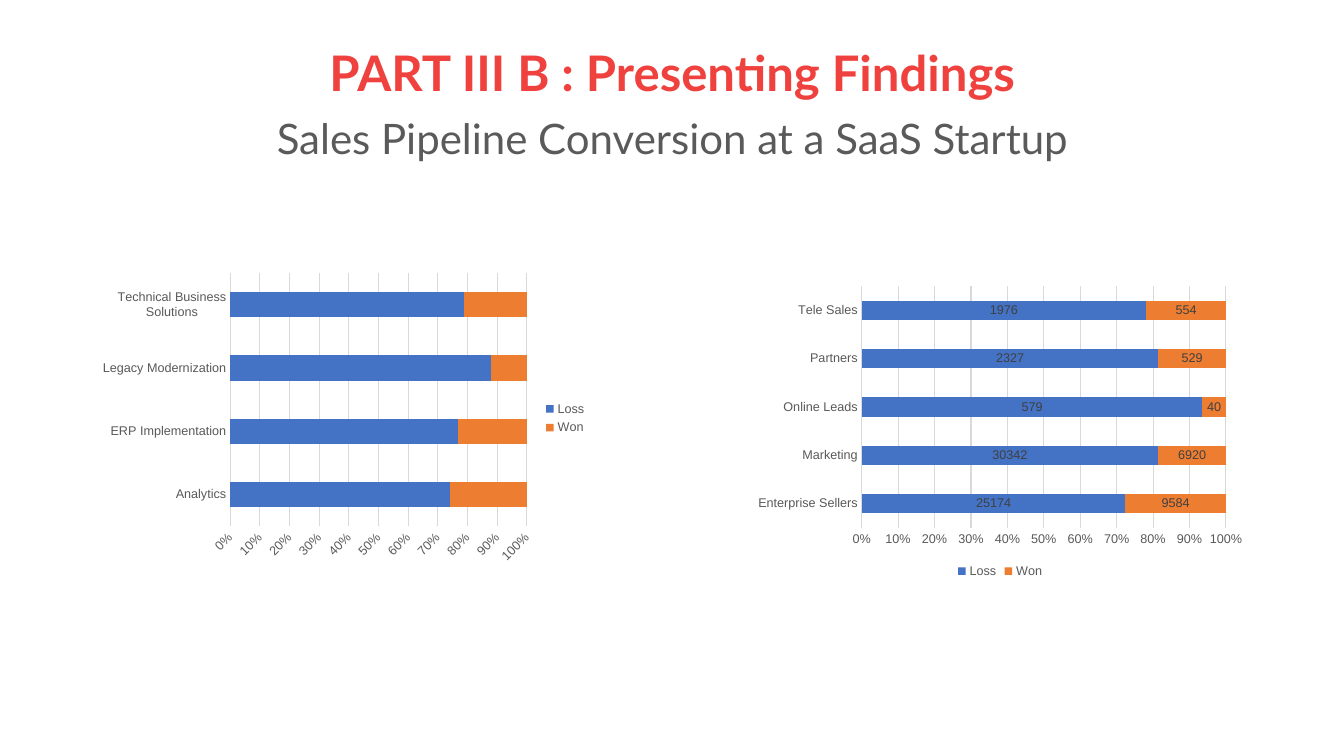
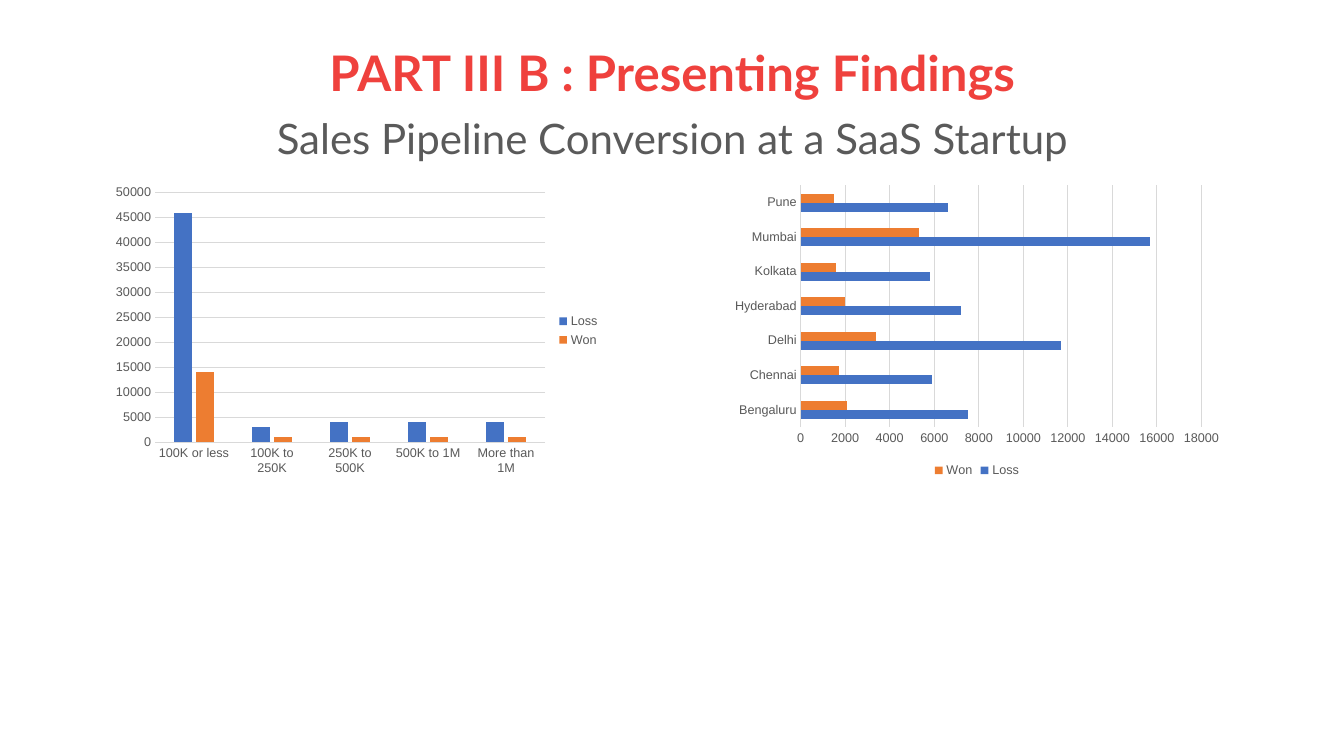
import dataclasses

import pptx
import pptx.chart.data
import pptx.dml.color
import pptx.enum.chart
import pptx.enum.text
import pptx.oxml.ns
import pptx.util

Inches = pptx.util.Inches
Pt = pptx.util.Pt
RGBColor = pptx.dml.color.RGBColor
Kind = pptx.enum.chart.XL_CHART_TYPE
Side = pptx.enum.chart.XL_LEGEND_POSITION
Tick = pptx.enum.chart.XL_TICK_MARK

RED = RGBColor(0xEF, 0x41, 0x3D)
GREY = RGBColor(0x5A, 0x5A, 0x5A)
LABEL = RGBColor(0x59, 0x59, 0x59)
DARK = RGBColor(0x40, 0x40, 0x40)
BLACK = RGBColor(0, 0, 0)
GRID = RGBColor(0xD9, 0xD9, 0xD9)
BLUE = RGBColor(0x44, 0x72, 0xC4)
ORANGE = RGBColor(0xED, 0x7D, 0x31)


@dataclasses.dataclass(frozen=True)
class Plot:
    left: float
    top: float
    kind: Kind
    side: Side
    cats: tuple[str, ...]
    loss: tuple[int, ...]
    won: tuple[int, ...]
    gap: int
    over: int = 0
    form: str = "General"
    tags: bool = False


DECK = (
    (
        Plot(0.92, 2.65, Kind.BAR_STACKED_100, Side.RIGHT,
             ("Analytics", "ERP Implementation", "Legacy Modernization",
              "Technical Business Solutions"),
             (74, 77, 88, 79), (26, 23, 12, 21), 150, 100, "0%"),
        Plot(7.42, 2.78, Kind.BAR_STACKED_100, Side.BOTTOM,
             ("Enterprise Sellers", "Marketing", "Online Leads", "Partners",
              "Tele Sales"),
             (25174, 30342, 579, 2327, 1976), (9584, 6920, 40, 529, 554),
             150, 100, "0%", True),
    ),
    (
        Plot(7.19, 1.78, Kind.BAR_CLUSTERED, Side.BOTTOM,
             ("Bengaluru", "Chennai", "Delhi", "Hyderabad", "Kolkata",
              "Mumbai", "Pune"),
             (7500, 5900, 11700, 7200, 5800, 15700, 6600),
             (2100, 1700, 3400, 2000, 1600, 5300, 1500), 182),
        Plot(1.05, 1.78, Kind.COLUMN_CLUSTERED, Side.RIGHT,
             ("100K or less", "100K to 250K", "250K to 500K", "500K to 1M",
              "More than 1M"),
             (46000, 3000, 4000, 4000, 4000),
             (14000, 1000, 1000, 1000, 1000), 219, -27),
    ),
)


def style(font, size: float = 9, color: RGBColor = LABEL,
          face: str = "Arial", bold: bool = False) -> None:
    font.size = Pt(size)
    font.name = face
    font.bold = bold
    font.color.rgb = color


def write(para, text: str, *, size: float, color: RGBColor,
          bold: bool = False, before: float | None = None) -> None:
    para.alignment = pptx.enum.text.PP_ALIGN.CENTER
    para.line_spacing = 0.9
    if before is not None:
        para.space_before = Pt(before)
    run = para.add_run()
    run.text = text
    style(run.font, size, color, "Lato", bold)


def add_title(slide) -> None:
    box = slide.shapes.add_textbox(
        Inches(0.92), Inches(0.33), Inches(11.5), Inches(1.45))
    frame = box.text_frame
    frame.word_wrap = True
    frame.vertical_anchor = pptx.enum.text.MSO_ANCHOR.MIDDLE
    write(frame.paragraphs[0], "PART III B : Presenting Findings",
          size=35, color=RED, bold=True)
    write(frame.add_paragraph(), "Sales Pipeline Conversion at a SaaS Startup",
          size=30, color=GREY, before=11)


def draw_line(line) -> None:
    line.color.rgb = GRID
    line.width = Pt(0.75)


def style_axis(axis) -> None:
    axis.major_tick_mark = Tick.NONE
    axis.minor_tick_mark = Tick.NONE
    style(axis.tick_labels.font)
    for body in axis._element.iter(pptx.oxml.ns.qn("a:bodyPr")):
        body.set("rot", "-60000000")


def add_plot(slide, plot: Plot) -> None:
    data = pptx.chart.data.CategoryChartData()
    data.categories = plot.cats
    data.add_series("Loss", plot.loss)
    data.add_series("Won", plot.won)
    chart = slide.shapes.add_chart(
        plot.kind, Inches(plot.left), Inches(plot.top),
        Inches(5), Inches(3), data).chart
    style(chart.font, 10, BLACK)
    chart.has_title = False
    chart.has_legend = True
    chart.legend.position = plot.side
    chart.legend.include_in_layout = False
    style(chart.legend.font)

    style_axis(chart.category_axis)
    draw_line(chart.category_axis.format.line)
    scale = chart.value_axis
    style_axis(scale)
    scale.format.line.fill.background()
    scale.has_major_gridlines = True
    draw_line(scale.major_gridlines.format.line)
    scale.tick_labels.number_format = plot.form
    scale.tick_labels.number_format_is_linked = False

    bars = chart.plots[0]
    bars.vary_by_categories = False
    bars.gap_width = plot.gap
    bars.overlap = plot.over
    for row, color in zip(bars.series, (BLUE, ORANGE)):
        row.invert_if_negative = False
        row.format.fill.solid()
        row.format.fill.fore_color.rgb = color
        if plot.tags:
            tags = row.data_labels
            tags.show_value = True
            tags.position = pptx.enum.chart.XL_LABEL_POSITION.CENTER
            style(tags.font, color=DARK)


def main() -> None:
    deck = pptx.Presentation()
    deck.slide_width = Inches(13.33)
    deck.slide_height = Inches(7.5)
    for plots in DECK:
        slide = deck.slides.add_slide(deck.slide_layouts[6])
        add_title(slide)
        for plot in plots:
            add_plot(slide, plot)
    deck.save("out.pptx")


if __name__ == "__main__":
    main()
